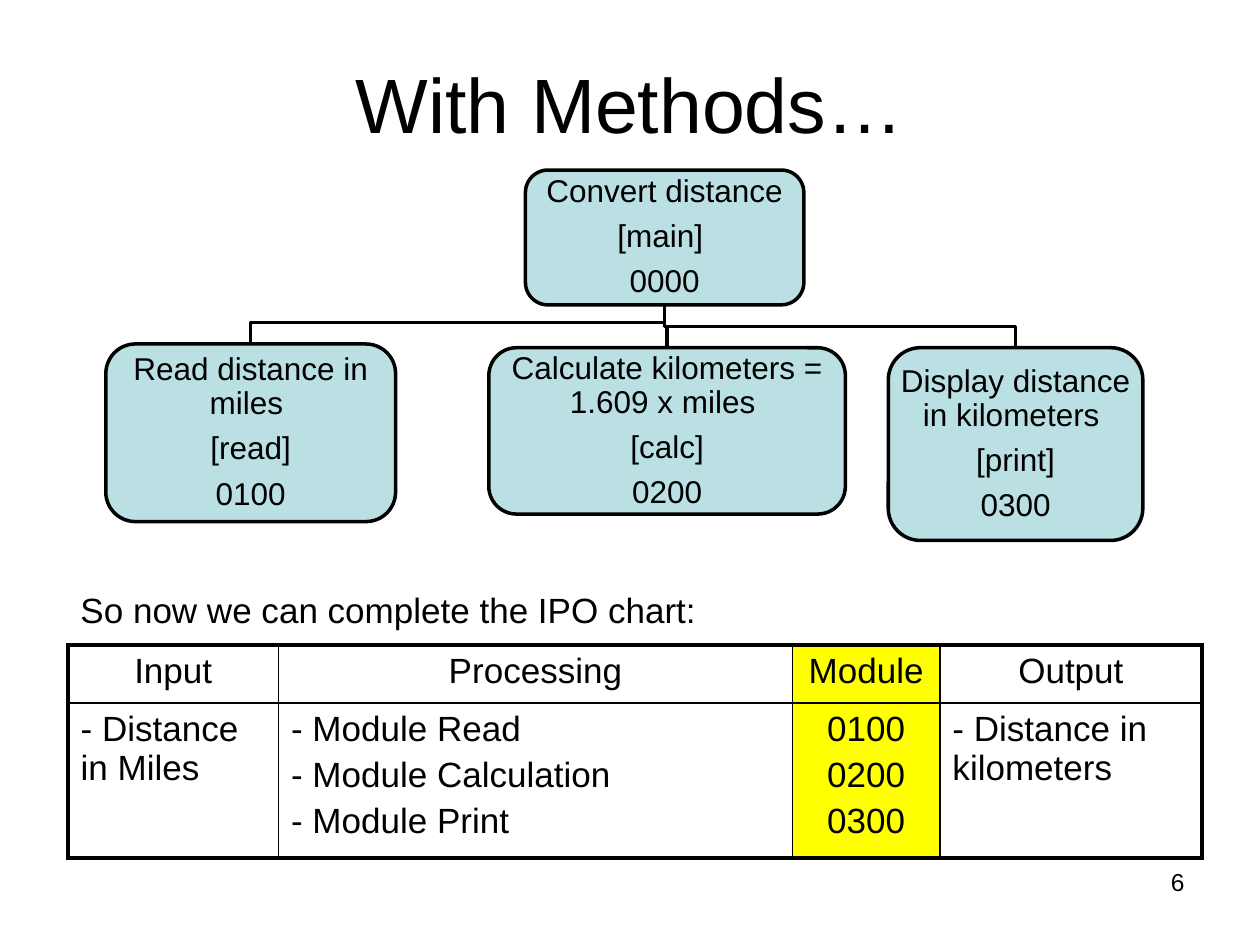
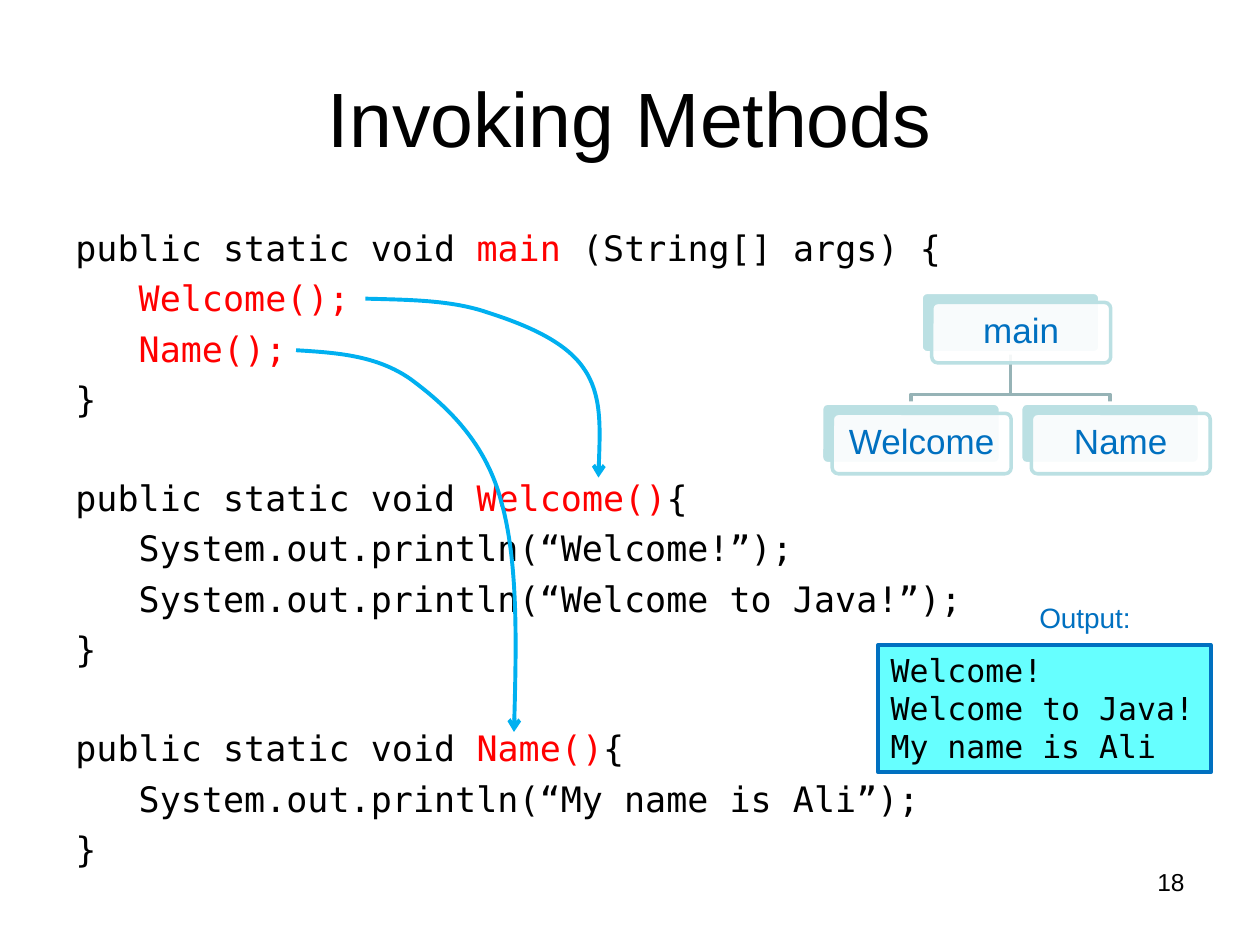
from lxml import etree
from pptx import Presentation
from pptx import util as u
from pptx.dml.color import RGBColor
from pptx.enum import shapes, text
from pptx.oxml import ns

COLORS = {
    "ink": "000000", "paper": "FFFFFF", "mist": "BBE0E3", "slate": "96B3B6",
    "mark": "FFFF00", "call": "FF0000", "arrow": "00B0F0", "blue": "0070C0",
    "screen": "66FFFF",
}
SANS, MONO = "Arial", "DejaVu Sans Mono"
COLS, ROWS = 100, 75
LEFT, CENTER, RIGHT = text.PP_ALIGN.LEFT, text.PP_ALIGN.CENTER, text.PP_ALIGN.RIGHT
TOP, MIDDLE = text.MSO_ANCHOR.TOP, text.MSO_ANCHOR.MIDDLE
RECT, ROUND = shapes.MSO_SHAPE.RECTANGLE, shapes.MSO_SHAPE.ROUNDED_RECTANGLE


def rgb(name):
    return RGBColor.from_string(COLORS[name])


class Deck:
    """Draw slide elements on a grid of COLS by ROWS with one shared style."""

    def __init__(self):
        self.prs = Presentation()
        self.prs.slide_width, self.prs.slide_height = u.Inches(10), u.Inches(7.5)
        self.cell_w = self.prs.slide_width / COLS
        self.cell_h = self.prs.slide_height / ROWS
        self.s = None

    def grid(self, *lengths):
        cells = (self.cell_w, self.cell_h)
        return [round(n * cells[i % 2]) for i, n in enumerate(lengths)]

    def slide(self, title, number, title_rows):
        self.s = self.prs.slides.add_slide(self.prs.slide_layouts[6])
        self.text((5, 3, 90, title_rows), [title], 44, align=CENTER, anchor=MIDDLE)
        self.text((71.7, 68.3, 23.3, 5.2), [str(number)], 14, align=RIGHT)

    def fill_text(self, tf, lines, size, color="ink", font=SANS, align=LEFT,
                  gap=0, leading=None):
        for i, line in enumerate(lines):
            p = tf.add_paragraph() if i else tf.paragraphs[0]
            p.alignment = align
            p.line_spacing = leading
            if i:
                p.space_before = u.Pt(gap)
            for j, part in enumerate(line.split("|")):
                if part:
                    r = p.add_run()
                    r.text = part
                    r.font.name, r.font.size = font, u.Pt(size)
                    r.font.color.rgb = rgb("call" if j % 2 else color)
        return tf

    def frame(self, tf, anchor=TOP, inset=None, wrap=True):
        tf.word_wrap, tf.vertical_anchor = wrap, anchor
        if inset is not None:
            tf.margin_left = tf.margin_right = u.Inches(inset)
            tf.margin_top = tf.margin_bottom = u.Inches(inset)
        return tf

    def text(self, box, lines, size, anchor=TOP, wrap=True, **style):
        tf = self.s.shapes.add_textbox(*self.grid(*box)).text_frame
        return self.fill_text(self.frame(tf, anchor, wrap=wrap), lines, size, **style)

    def shape(self, kind, box, fill, line, width=2, alpha=None, adj=None):
        sp = self.s.shapes.add_shape(kind, *self.grid(*box))
        sp.shadow.inherit = False
        sp.fill.solid()
        sp.fill.fore_color.rgb = rgb(fill)
        sp.line.color.rgb, sp.line.width = rgb(line), u.Pt(width)
        if adj is not None:
            sp.adjustments[0] = adj
        if alpha is not None:
            clr = next(sp._element.spPr.iter(ns.qn("a:srgbClr")))
            etree.SubElement(clr, ns.qn("a:alpha"), val=str(alpha * 1000))
        return sp

    def outline(self, points, color, width):
        first, *rest = [tuple(self.grid(*pt)) for pt in points]
        fb = self.s.shapes.build_freeform(*first)
        fb.add_line_segments(rest, close=False)
        sp = fb.convert_to_shape()
        sp.shadow.inherit = False
        sp.fill.background()
        sp.line.color.rgb, sp.line.width = rgb(color), u.Pt(width)
        return sp

    def elbow(self, parent, child, drop, color="ink"):
        x1, y1 = parent[0] + parent[2] / 2, parent[1] + parent[3]
        x2, y2 = child[0] + child[2] / 2, child[1]
        bus = y2 - drop
        self.outline([(x1, y1), (x1, bus), (x2, bus), (x2, y2)], color, 2)

    def curve(self, points):
        sp = self.outline(points, "arrow", 2.25)
        steps = list(sp._element.iter(ns.qn("a:lnTo")))
        for i in range(0, len(steps), 3):
            bend = etree.Element(ns.qn("a:cubicBezTo"))
            steps[i].addprevious(bend)
            for step in steps[i:i + 3]:
                bend.append(step[0])
                step.getparent().remove(step)
        ln = sp._element.spPr.find(ns.qn("a:ln"))
        etree.SubElement(ln, ns.qn("a:tailEnd"), type="arrow")

    def card(self, box, lines):
        sp = self.shape(ROUND, box, "mist", "ink")
        tf = self.frame(sp.text_frame, MIDDLE, 0.01)
        self.fill_text(tf, lines, 18, align=CENTER, gap=6.3, leading=0.9)

    def layered_card(self, box, label):
        x, y, w, h = box
        self.shape(ROUND, box, "mist", "paper", adj=0.1)
        sp = self.shape(ROUND, (x + 0.85, y + 0.8, w, h), "paper", "mist",
                        alpha=90, adj=0.1)
        tf = self.frame(sp.text_frame, MIDDLE, 0.08)
        self.fill_text(tf, [label], 20, "blue", align=CENTER, leading=0.9)

    def borders(self, cell, widths):
        tcPr = cell._tc.get_or_add_tcPr()
        for side, width in widths.items():
            ln = etree.SubElement(tcPr, ns.qn("a:ln" + side), w=str(int(u.Pt(width))))
            fill = etree.SubElement(ln, ns.qn("a:solidFill"))
            etree.SubElement(fill, ns.qn("a:srgbClr"), val=COLORS["ink"])

    def table(self, at, widths, heights, rows, marked):
        size = (sum(widths), sum(heights))
        tbl = self.s.shapes.add_table(len(rows), len(widths),
                                      *self.grid(*at, *size)).table
        tbl.first_row = tbl.horz_banding = False
        for col, w in zip(tbl.columns, widths):
            col.width = round(w * self.cell_w)
        for row, h in zip(tbl.rows, heights):
            row.height = round(h * self.cell_h)
        last_row, last_col = len(rows) - 1, len(widths) - 1
        for i, row in enumerate(rows):
            for j, lines in enumerate(row):
                c = tbl.cell(i, j)
                edges = {"L": j == 0, "R": j == last_col, "T": i == 0, "B": i == last_row}
                self.borders(c, {k: 2.25 if outer else 1 for k, outer in edges.items()})
                if j == marked:
                    c.fill.solid()
                    c.fill.fore_color.rgb = rgb("mark")
                else:
                    c.fill.background()
                align = CENTER if i == 0 or j == marked else LEFT
                self.fill_text(c.text_frame, lines, 20, align=align, gap=4)


def methods_slide(d):
    d.slide("With Methods…", 6, 10.3)
    top = (41.7, 13.5, 22.1, 10.7)
    steps = [
        ((8.4, 27.3, 23, 14.1), ["Read distance in miles ", "[read]", "0100"]),
        ((38.8, 27.6, 28.3, 13.2),
         ["Calculate kilometers = 1.609 x miles ", "[calc]", "0200"]),
        ((70.5, 27.6, 20.2, 15.3),
         ["Display distance in kilometers ", "[print]", "0300"]),
    ]
    for box, _ in steps:
        d.elbow(top, box, 1.7)
    d.card(top, ["Convert distance", "[main] ", "0000"])
    for box, lines in steps:
        d.card(box, lines)
    d.table((5.4, 51.2), [16.7, 40.8, 11.7, 20.8], [4.6, 12.3], [
        [["Input"], ["Processing"], ["Module"], ["Output"]],
        [["- Distance in Miles"],
         ["- Module Read", "- Module Calculation", "- Module Print"],
         ["0100", "0200", "0300"],
         ["- Distance in kilometers"]],
    ], marked=2)
    d.text((5.4, 46.2, 51.2, 4.4), ["So now we can complete the IPO chart:"], 20,
           wrap=False)


def invoking_slide(d):
    d.slide("Invoking Methods", 18, 12.5)
    code = d.text((5, 17.5, 90, 49.5), [
        "public static void |main| (String[] args) {",
        "   |Welcome();",
        "   |Name();",
        "}",
        "public static void |Welcome()|{",
        "   System.out.println(“Welcome!”);",
        "   System.out.println(“Welcome to Java!”);",
        "}",
        "public static void |Name()|{",
        "   System.out.println(“My name is Ali”);",
        "}",
    ], 20, font=MONO, gap=4.7)
    for p in code.paragraphs[1:]:
        if p.text.startswith("public"):
            p.space_before = u.Pt(32.7)
    d.curve([(29, 23.7), (32.4, 23.8), (35.8, 23.8), (38.7, 24.8), (41.5, 25.7),
             (44.8, 27), (46.3, 29.2), (47.8, 31.3), (47.6, 34.6), (47.5, 37.9)])
    d.curve([(23.5, 27.8), (26.7, 28), (29.9, 28.2), (32.6, 30.1), (35.3, 32.1),
             (38.4, 34.9), (39.7, 39.5), (41.1, 44.2), (41, 51.1), (40.8, 58.1)])
    screen = d.shape(RECT, (69.7, 51.2, 26.4, 10.1), "screen", "blue", 2.25)
    d.fill_text(d.frame(screen.text_frame, wrap=False),
                ["Welcome!", "Welcome to Java!", "My name is Ali"], 18, font=MONO)
    d.text((81.5, 47.2, 9.4, 3.7), ["Output:"], 16, color="blue", wrap=False)
    size = (14.2, 4.8)
    top = (73.1, 23.2, *size)
    calls = {"Welcome": (65.2, 32, *size), "Name": (81, 32, *size)}
    for box in calls.values():
        d.elbow(top, box, 0.7, "slate")
    for label, box in {"main": top, **calls}.items():
        d.layered_card(box, label)


def main():
    d = Deck()
    methods_slide(d)
    invoking_slide(d)
    d.prs.save("out.pptx")


if __name__ == "__main__":
    main()
